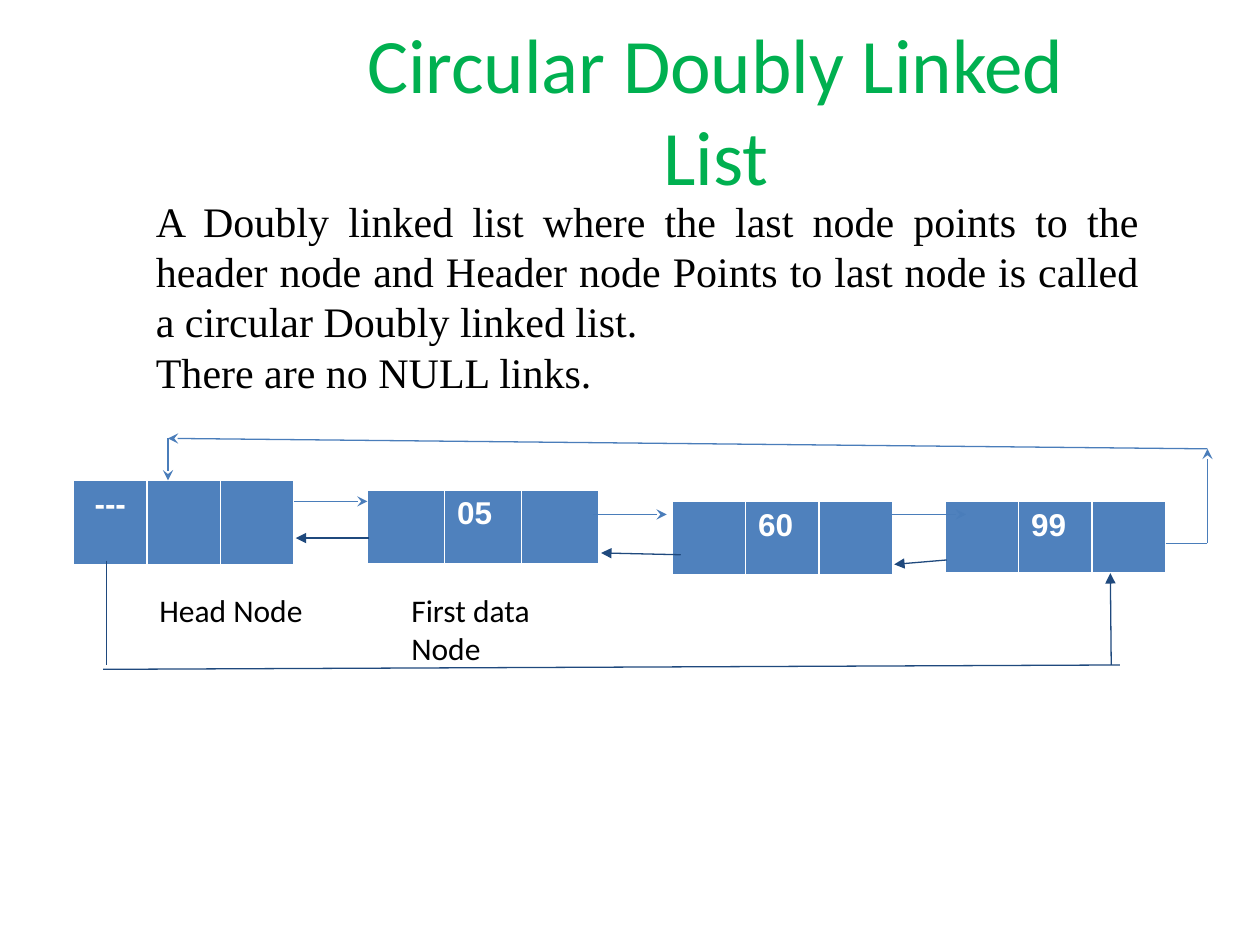
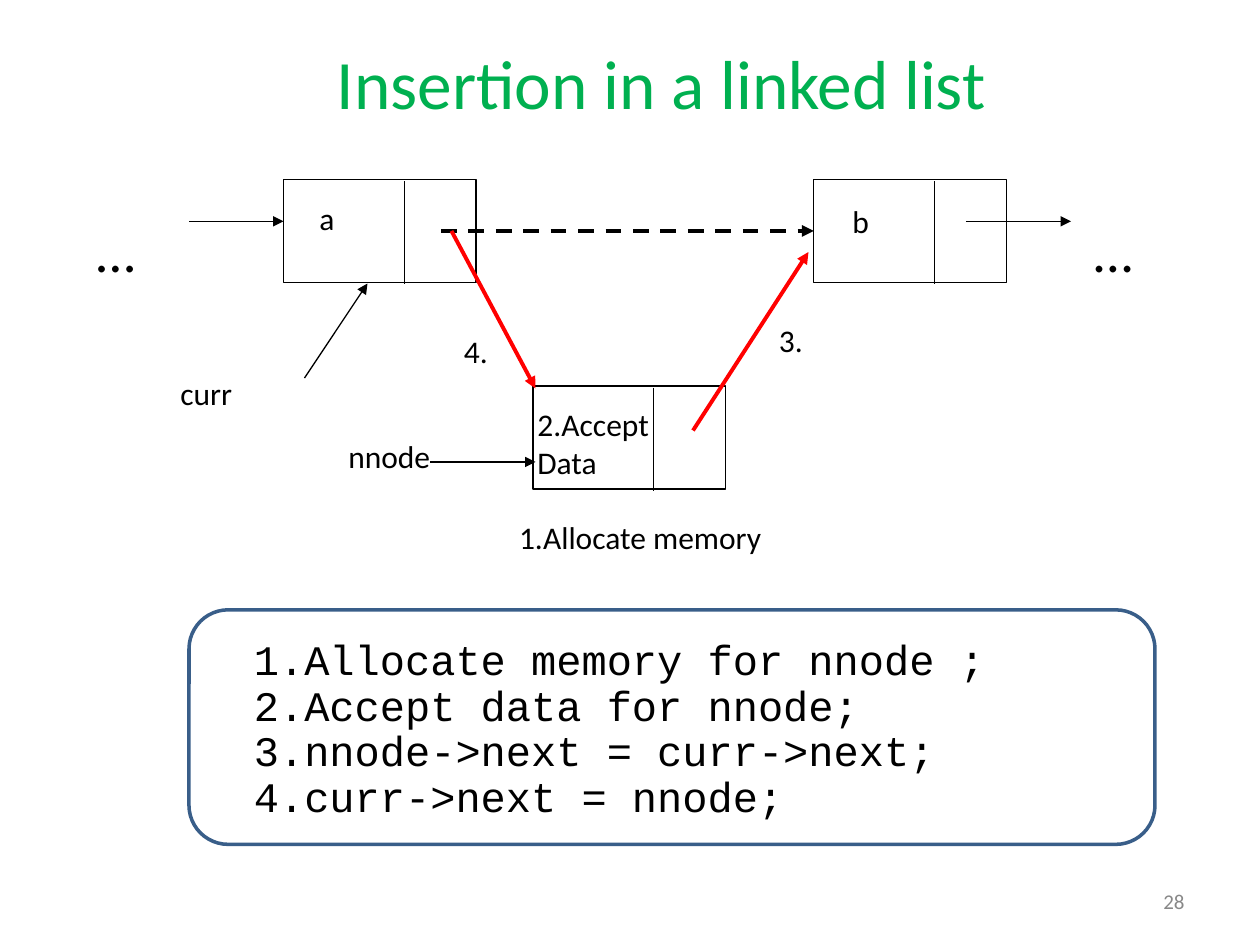
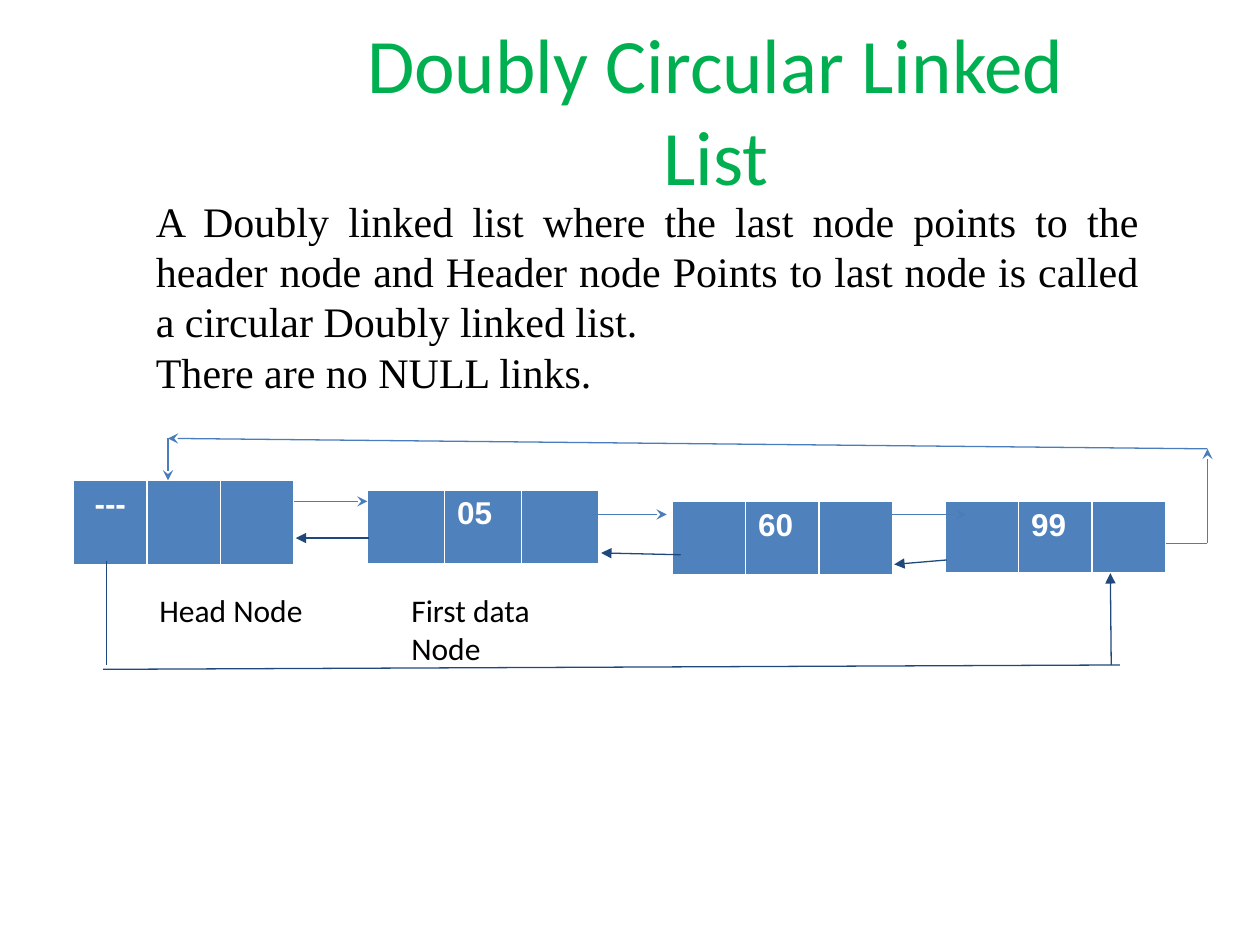
from dataclasses import dataclass

from lxml import etree
from pptx import Presentation
from pptx import util as u
from pptx.dml import color as dml_color
from pptx.enum import dml, shapes, text
from pptx.oxml import ns

COLORS = {
    "title": "00B050",
    "ink": "000000",
    "paper": "FFFFFF",
    "cell": "4F81BD",
    "next": "4A7DBA",
    "previous": "1F497D",
    "relink": "FF0000",
    "frame": "395E89",
    "number": "888888",
}
BODY_FONT = "Calibri"
NODE_WIDTH, NODE_HEIGHT, NODE_DIVIDER = 110, 59, 69


@dataclass(frozen=True)
class ListNode:
    left: float
    top: float
    column: float
    height: float
    values: tuple[str, str, str]


@dataclass(frozen=True)
class Link:
    start: tuple[float, float]
    end: tuple[float, float]
    color: str = "ink"
    head: str | None = "triangle"
    width: float = 0.75
    dashed: bool = False


@dataclass(frozen=True)
class Label:
    words: str
    left: float
    top: float
    width: float
    height: float = 29
    size: float = 18
    color: str = "ink"
    align: text.PP_ALIGN = text.PP_ALIGN.LEFT


LIST_NODES = (
    ListNode(42, 274.5, 42, 48, ("---", "", "")),
    ListNode(540, 286.5, 42, 41, ("", "99", "")),
    ListNode(210, 280, 44, 42, ("", "05", "")),
    ListNode(384, 286.5, 42, 42, ("", "60", "")),
)
LIST_LINKS = (
    Link((168, 286.5), (210, 286.5), "next", "stealth"),
    Link((690, 310.5), (690, 256.5), "next", "stealth"),
    Link((510, 294), (552, 294), "next", "stealth"),
    Link((339, 294), (381, 294), "next", "stealth"),
    Link((666, 310.5), (690, 310.5), "next", None),
    Link((690, 256.5), (96, 250.5), "next", "stealth"),
    Link((96, 250.5), (96, 274.5), "next", "stealth"),
    Link((211, 307.5), (169, 307.5), "previous"),
    Link((389, 317), (343.5, 316), "previous"),
    Link((541, 320), (511, 322.5), "previous"),
    Link((61, 320.5), (61, 380), "previous", None),
    Link((59, 382.5), (640, 380), "previous", None),
    Link((635, 380), (634.5, 327.5), "previous"),
)
LIST_LABELS = (
    Label("Head Node", 84, 334, 108),
    Label("First data Node", 228, 334, 108, 51),
)
DEFINITION = (
    "A Doubly linked list where the last node points to the header node and Header node "
    "Points to last node is called a circular Doubly linked list.",
    "There are no NULL links.",
)

INSERTION_LINKS = (
    Link((108, 126.5), (162, 126.5)),
    Link((552, 126.5), (612, 126.5)),
    Link((174, 216), (210, 162)),
    Link((246, 264), (306, 264)),
    Link((258, 132), (306, 222), "relink", width=2.25),
    Link((396, 246), (462, 144), "relink", width=2.25),
)
INSERTION_LABELS = (
    Label("a", 175.5, 110, 55.5, 44),
    Label("b", 480, 112, 55.5, 44),
    Label("…", 48, 120, 60, 45.5, 32),
    Label("…", 618, 120, 60, 45.5, 32),
    Label("curr", 96, 210, 108),
    Label("nnode", 192, 246, 114),
    Label("1.Allocate memory", 289.5, 292.5, 168),
    Label("2.Accept Data", 300, 228, 90, 51),
    Label("3.", 438, 180, 42),
    Label("4.", 258, 186, 42),
    Label("28", 516, 500.5, 168, 28.5, 12, "number", text.PP_ALIGN.RIGHT),
)
INSERTION_STEPS = (
    "1.Allocate memory for nnode ;",
    "2.Accept data for nnode;",
    "3.nnode->next = curr->next;",
    "4.curr->next = nnode;",
)


def rgb(name: str) -> dml_color.RGBColor:
    return dml_color.RGBColor.from_string(COLORS[name])


def bounds(left: float, top: float, width: float, height: float) -> tuple[u.Length, ...]:
    return u.Pt(left), u.Pt(top), u.Pt(width), u.Pt(height)


def write_text(frame, *lines: str, size: float = 18, font: str = BODY_FONT, color: str = "ink",
               bold: bool = False, align: text.PP_ALIGN = text.PP_ALIGN.LEFT,
               spacing: float = 1.0) -> None:
    for index, line in enumerate(lines):
        paragraph = frame.add_paragraph() if index else frame.paragraphs[0]
        paragraph.alignment = align
        paragraph.line_spacing = spacing
        run = paragraph.add_run()
        run.text = line
        run.font.size = u.Pt(size)
        run.font.name = font
        run.font.bold = bold
        run.font.color.rgb = rgb(color)


def add_titled_slide(presentation, title: str, left: float, top: float, width: float,
                     height: float, size: float):
    slide = presentation.slides.add_slide(presentation.slide_layouts[5])
    shape = slide.shapes.title
    shape.left, shape.top, shape.width, shape.height = bounds(left, top, width, height)
    frame = shape.text_frame
    frame.auto_size = text.MSO_AUTO_SIZE.NONE
    frame.vertical_anchor = text.MSO_ANCHOR.MIDDLE
    write_text(frame, title, size=size, color="title", align=text.PP_ALIGN.CENTER)
    return slide


def add_text_frame(slide, left: float, top: float, width: float, height: float):
    frame = slide.shapes.add_textbox(*bounds(left, top, width, height)).text_frame
    frame.word_wrap = True
    return frame


def draw_label(slide, label: Label) -> None:
    frame = add_text_frame(slide, label.left, label.top, label.width, label.height)
    if label.color == "number":
        frame.vertical_anchor = text.MSO_ANCHOR.MIDDLE
    write_text(frame, label.words, size=label.size, color=label.color, align=label.align)


def draw_link(slide, link: Link):
    connector = slide.shapes.add_connector(
        shapes.MSO_CONNECTOR.STRAIGHT, *map(u.Pt, link.start + link.end))
    connector.line.color.rgb = rgb(link.color)
    connector.line.width = u.Pt(link.width)
    if link.dashed:
        connector.line.dash_style = dml.MSO_LINE.DASH
    properties = connector._element.spPr
    if link.head:
        etree.SubElement(properties.get_or_add_ln(), ns.qn("a:tailEnd"), type=link.head)
    etree.SubElement(properties, ns.qn("a:effectLst"))
    return connector


def draw_list_node(slide, node: ListNode) -> None:
    columns = len(node.values)
    table = slide.shapes.add_table(
        1, columns, *bounds(node.left, node.top, node.column * columns, node.height)).table
    for index, value in enumerate(node.values):
        cell = table.cell(0, index)
        cell.fill.solid()
        cell.fill.fore_color.rgb = rgb("cell")
        if value:
            align = text.PP_ALIGN.LEFT if index else text.PP_ALIGN.CENTER
            write_text(cell.text_frame, value, font="Arial", color="paper", bold=True, align=align)


def draw_shape(slide, kind, left: float, top: float, width: float, height: float,
               fill: str | None, line: str, line_width: float):
    shape = slide.shapes.add_shape(kind, *bounds(left, top, width, height))
    shape.shadow.inherit = False
    if fill:
        shape.fill.solid()
        shape.fill.fore_color.rgb = rgb(fill)
    else:
        shape.fill.background()
    shape.line.color.rgb = rgb(line)
    shape.line.width = u.Pt(line_width)
    return shape


def draw_split_box(slide, left: float, top: float):
    box = draw_shape(slide, shapes.MSO_SHAPE.RECTANGLE, left, top, NODE_WIDTH, NODE_HEIGHT,
                     "paper", "ink", 0.75)
    divider = left + NODE_DIVIDER
    draw_link(slide, Link((divider, top + 1), (divider, top + 1 + NODE_HEIGHT), head=None))
    return box


def build_circular_slide(presentation, title: str) -> None:
    slide = add_titled_slide(presentation, title, 175, 34, 468, 56, 44)
    for node in LIST_NODES:
        draw_list_node(slide, node)
    for link in LIST_LINKS:
        draw_link(slide, link)
    for label in LIST_LABELS:
        draw_label(slide, label)
    write_text(add_text_frame(slide, 82, 108, 576, 124), *DEFINITION, size=24,
               font="Times New Roman", align=text.PP_ALIGN.JUSTIFY)


def build_insertion_slide(presentation) -> None:
    slide = add_titled_slide(presentation, "Insertion in a linked list", 138, 21.5, 480, 50, 39.6)
    draw_split_box(slide, 162, 102.5)
    following_box = draw_split_box(slide, 465, 102.5)
    draw_split_box(slide, 304.5, 220.5)
    old_link = draw_link(slide, Link((252, 132), (465, 132), width=2.25, dashed=True))
    old_link.end_connect(following_box, 1)
    for link in INSERTION_LINKS:
        draw_link(slide, link)
    for label in INSERTION_LABELS:
        draw_label(slide, label)
    write_text(add_text_frame(slide, 138, 362, 462, 139), *INSERTION_STEPS, size=24,
               font="Courier New", spacing=0.9)
    draw_shape(slide, shapes.MSO_SHAPE.ROUNDED_RECTANGLE, 108, 348.5, 552, 134,
               None, "frame", 2)


def main() -> None:
    presentation = Presentation()
    presentation.slide_width = u.Pt(720)
    presentation.slide_height = u.Pt(540)
    build_circular_slide(presentation, "Circular Doubly Linked List")
    build_insertion_slide(presentation)
    build_circular_slide(presentation, "Doubly Circular Linked List")
    presentation.save("out.pptx")


if __name__ == "__main__":
    main()
